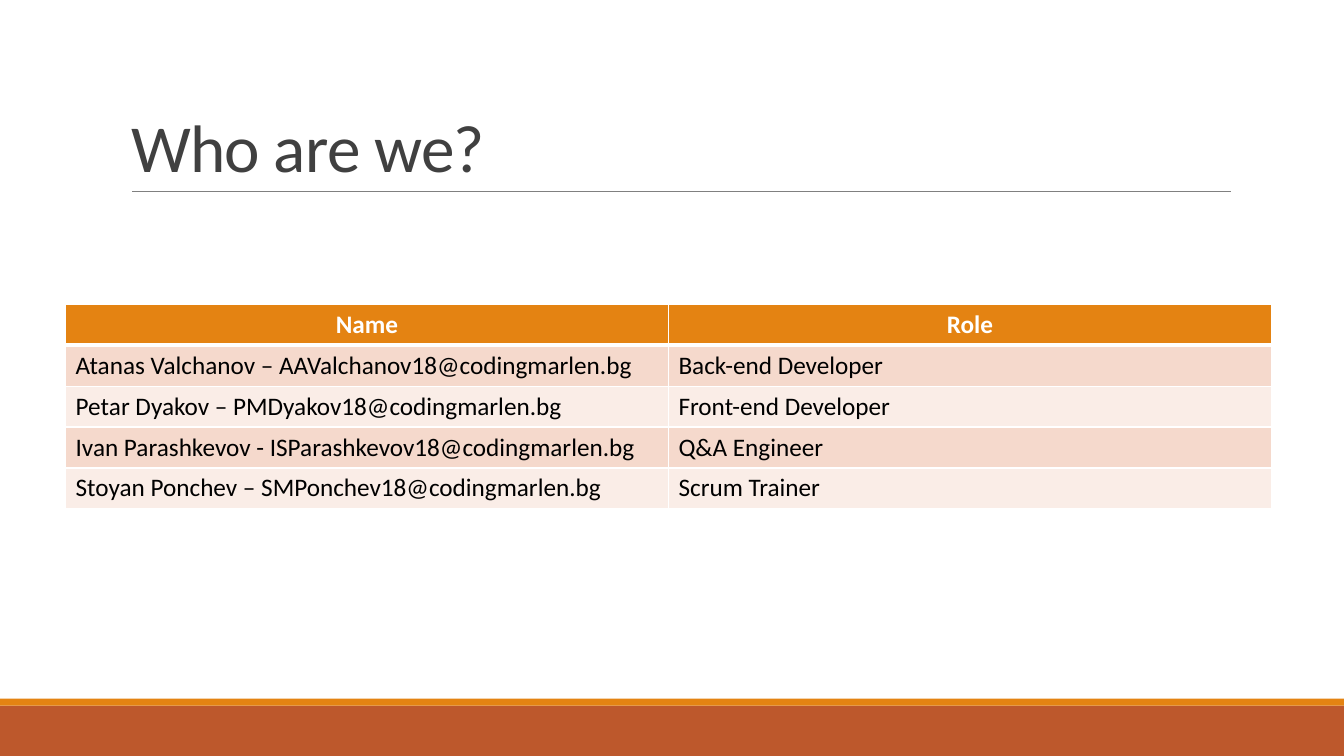
from dataclasses import dataclass

from lxml import etree
from pptx import Presentation
from pptx import util as u
from pptx.dml.color import RGBColor
from pptx.enum import shapes, text
from pptx.oxml import ns

WIDTH, HEIGHT = u.Inches(13.33), u.Inches(7.5)
FONT = "Calibri"
ORANGE, RUST, WHITE = "E48312", "BD582C", "FFFFFF"
BANDS = ("F5D9CC", "FAEDE7")


@dataclass
class Bar:
    top: float
    height: float
    color: str


@dataclass
class Member:
    contact: str
    role: str


BARS = [Bar(93.33, 6.67, RUST), Bar(92.4, 0.93, ORANGE)]
TEAM = [
    Member("Atanas Valchanov – AAValchanov18@codingmarlen.bg", "Back-end Developer"),
    Member("Petаr Dyakov – PMDyakov18@codingmarlen.bg", "Front-end Developer"),
    Member("Ivan Parashkevov - ISParashkevov18@codingmarlen.bg", "Q&A Engineer"),
    Member("Stoyan Ponchev – SMPonchev18@codingmarlen.bg", "Scrum Trainer"),
]


def x(percent: float) -> int:
    return round(WIDTH * percent / 100)


def y(percent: float) -> int:
    return round(HEIGHT * percent / 100)


def rgb(color: str) -> RGBColor:
    return RGBColor.from_string(color)


def write(tf, content: str, size: float = 18, color: str = "000000",
          bold: bool = False, align=text.PP_ALIGN.LEFT,
          line_spacing: float = 1.0, tracking: float = 0) -> None:
    p = tf.paragraphs[0]
    p.alignment = align
    p.line_spacing = line_spacing
    r = p.add_run()
    r.text = content
    r.font.name = FONT
    r.font.size = u.Pt(size)
    r.font.bold = bold
    r.font.color.rgb = rgb(color)
    if tracking:
        r.font._element.set("spc", str(round(tracking * 100)))


def draw_bar(slide, bar: Bar) -> None:
    sp = slide.shapes.add_shape(shapes.MSO_SHAPE.RECTANGLE, 0, y(bar.top),
                                WIDTH, y(bar.height))
    sp.shadow.inherit = False
    sp.fill.solid()
    sp.fill.fore_color.rgb = rgb(bar.color)
    sp.line.fill.background()


def draw_rule(slide) -> None:
    rule = slide.shapes.add_connector(shapes.MSO_CONNECTOR.STRAIGHT,
                                      x(9.83), y(25.33), x(91.6), y(25.33))
    rule.line.color.rgb = rgb("808080")
    rule.line.width = u.Pt(0.5)
    etree.SubElement(rule._element.spPr, ns.qn("a:effectLst"))


def draw_title(slide, content: str) -> None:
    title = slide.shapes.title
    title.left, title.top = x(9), y(4.13)
    title.width, title.height = x(82.52), y(21.2)
    tf = title.text_frame
    tf.word_wrap = True
    tf.auto_size = text.MSO_AUTO_SIZE.NONE
    tf.vertical_anchor = text.MSO_ANCHOR.BOTTOM
    write(tf, content, size=48, color="404040", line_spacing=0.85, tracking=-0.5)


def style_cell(cell, fill: str, top: float = 1, bottom: float = 1) -> None:
    props = cell._tc.get_or_add_tcPr()
    for side, width in {"L": 1, "R": 1, "T": top, "B": bottom}.items():
        ln = etree.SubElement(props, ns.qn(f"a:ln{side}"), w=str(u.Pt(width)))
        solid = etree.SubElement(ln, ns.qn("a:solidFill"))
        etree.SubElement(solid, ns.qn("a:srgbClr"), val=WHITE)
    cell.fill.solid()
    cell.fill.fore_color.rgb = rgb(fill)


def draw_team(slide, team: list[Member]) -> None:
    count = len(team) + 1
    row_height = y(5.41)
    table = slide.shapes.add_table(count, 2, x(4.88), y(40.27), x(89.72),
                                   row_height * count).table
    table.first_row = table.horz_banding = False
    for row in table.rows:
        row.height = row_height
    for col, label in enumerate(("Name", "Role")):
        cell = table.cell(0, col)
        style_cell(cell, ORANGE, bottom=3)
        write(cell.text_frame, label, color=WHITE, bold=True,
              align=text.PP_ALIGN.CENTER)
    for i, member in enumerate(team):
        for col, content in enumerate((member.contact, member.role)):
            cell = table.cell(i + 1, col)
            style_cell(cell, BANDS[i % 2], top=1 if i else 3)
            write(cell.text_frame, content)


def main() -> None:
    prs = Presentation()
    prs.slide_width, prs.slide_height = WIDTH, HEIGHT
    slide = prs.slides.add_slide(prs.slide_layouts.get_by_name("Title Only"))
    for bar in BARS:
        draw_bar(slide, bar)
    draw_rule(slide)
    draw_title(slide, "Who are we?")
    draw_team(slide, TEAM)
    prs.save("out.pptx")


if __name__ == "__main__":
    main()
